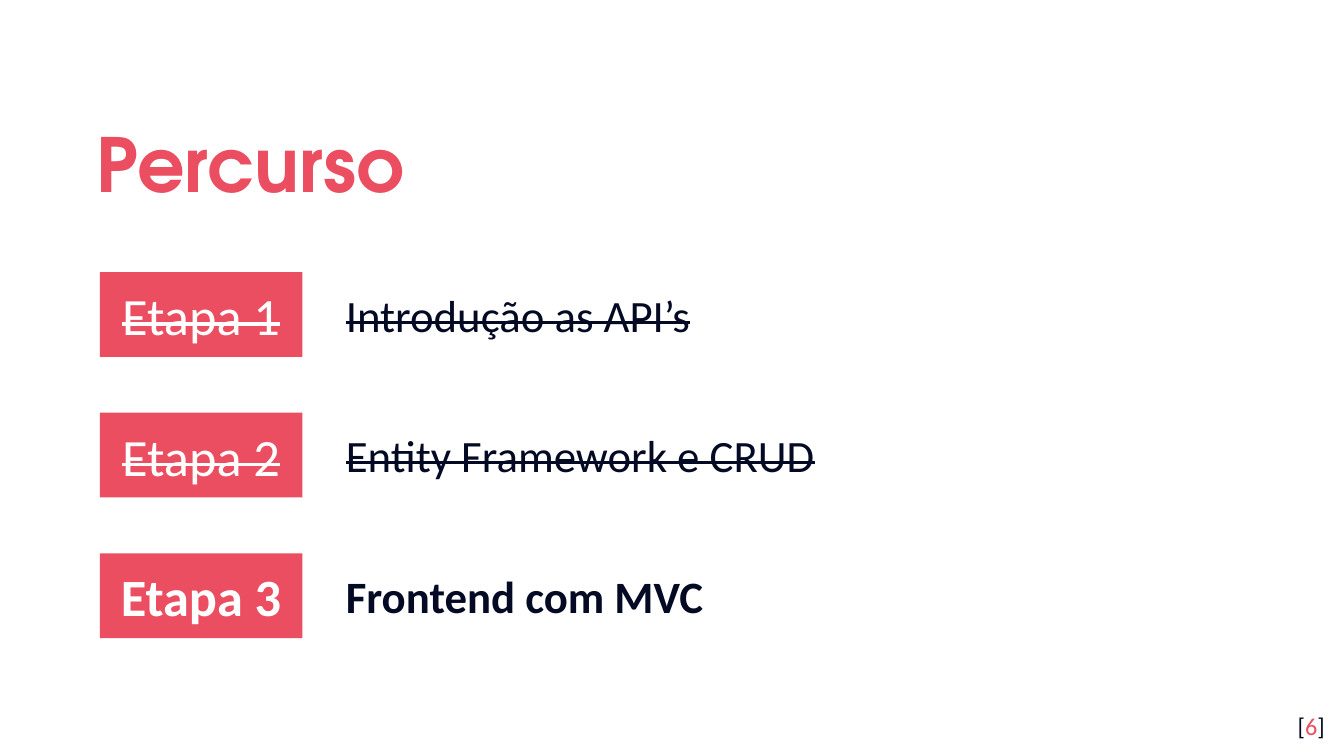
from dataclasses import dataclass

from pptx import Presentation
from pptx import util as u
from pptx.dml.color import RGBColor
from pptx.enum import shapes, text

RED, NAVY, WHITE = "EA4E60", "040A24", "FFFFFF"
BODY_FONT, TITLE_FONT = "Calibri", "TeX Gyre Adventor"
FIRST_TOP, LAST_TOP = 2.7, 5.49
PADDING = 0.13


@dataclass
class Stage:
    label: str
    topic: str
    done: bool
    topic_width: float = 9


STAGES = [
    Stage("Etapa 1", "Introdução as API’s", True),
    Stage("Etapa 2", "Entity Framework e CRUD", True, 9.47),
    Stage("Etapa 3", "Frontend com MVC", False),
]


def color(value: str) -> RGBColor:
    return RGBColor.from_string(value)


def place(shape, left: float, top: float, width: float, height: float) -> None:
    box = {"left": left, "top": top, "width": width, "height": height}
    for name, value in box.items():
        setattr(shape, name, u.Inches(value))


def add_outline(slide, left: float, top: float, width: float, height: float):
    """Draw a closed four-sided outline without fill or line."""
    right, bottom = left + width, top + height
    corners = [(u.Inches(x), u.Inches(y))
               for x, y in ((left, top), (right, top), (right, bottom), (left, bottom))]
    builder = slide.shapes.build_freeform(*corners[0])
    builder.add_line_segments(corners[1:], close=True)
    outline = builder.convert_to_shape()
    outline.shadow.inherit = False
    outline.fill.background()
    outline.line.fill.background()
    return outline


def format_frame(shape, anchor, alignment, vertical_padding: float = PADDING):
    """Set the frame's layout and return its first paragraph."""
    frame = shape.text_frame
    formats = {
        "word_wrap": True,
        "auto_size": text.MSO_AUTO_SIZE.NONE,
        "vertical_anchor": anchor,
        "margin_left": u.Inches(PADDING),
        "margin_right": u.Inches(PADDING),
        "margin_top": u.Inches(vertical_padding),
        "margin_bottom": u.Inches(vertical_padding),
    }
    for name, value in formats.items():
        setattr(frame, name, value)
    paragraph = frame.paragraphs[0]
    paragraph.alignment = alignment
    return paragraph


def add_run(paragraph, words: str, size: float, fill: str, font_name: str = BODY_FONT,
            bold: bool = False, strike: bool = False) -> None:
    run = paragraph.add_run()
    run.text = words
    formats = {"name": font_name, "size": u.Pt(size), "bold": bold}
    for name, value in formats.items():
        setattr(run.font, name, value)
    run.font.color.rgb = color(fill)
    if strike:
        run._r.get_or_add_rPr().set("strike", "sngStrike")


def add_stage(slide, stage: Stage, top: float) -> None:
    emphasis = {"bold": not stage.done, "strike": stage.done}

    # Label block
    label = slide.shapes.add_shape(shapes.MSO_SHAPE.RECTANGLE, 0, 0, 0, 0)
    place(label, 0.99, top, 2.01, 0.84)
    label.shadow.inherit = False
    label.fill.solid()
    label.fill.fore_color.rgb = color(RED)
    label.line.fill.background()
    paragraph = format_frame(label, text.MSO_ANCHOR.MIDDLE, text.PP_ALIGN.CENTER)
    add_run(paragraph, stage.label, 37.4, WHITE, **emphasis)

    # Topic beside it
    topic = add_outline(slide, 3.3, top + 0.08, stage.topic_width, 0.67)
    paragraph = format_frame(topic, text.MSO_ANCHOR.TOP, text.PP_ALIGN.LEFT, 0.07)
    properties = paragraph._p.get_or_add_pPr()
    properties.set("marL", str(u.Inches(0.67)))
    properties.set("indent", str(u.Inches(-0.67)))
    add_run(paragraph, stage.topic, 32, NAVY, **emphasis)


def main() -> None:
    presentation = Presentation()
    presentation.slide_width = u.Inches(13.33)
    presentation.slide_height = u.Inches(7.5)
    slide = presentation.slides.add_slide(presentation.slide_layouts[5])

    # Title
    title = slide.shapes.title
    place(title, 0.83, 0.93, 10.81, 1.23)
    paragraph = format_frame(title, text.MSO_ANCHOR.MIDDLE, text.PP_ALIGN.LEFT)
    paragraph.line_spacing = 1.15
    add_run(paragraph, "Percurso", 53.3, RED, TITLE_FONT, bold=True)

    # Stages, evenly spaced
    pitch = (LAST_TOP - FIRST_TOP) / (len(STAGES) - 1)
    for index, stage in enumerate(STAGES):
        add_stage(slide, stage, FIRST_TOP + index * pitch)

    # Page number
    page_number = slide.shapes.add_textbox(0, 0, 0, 0)
    place(page_number, 12.47, 6.93, 0.8, 0.57)
    paragraph = format_frame(page_number, text.MSO_ANCHOR.TOP, text.PP_ALIGN.RIGHT)
    for words, fill in (("[", NAVY), ("6", RED), ("]", NAVY)):
        add_run(paragraph, words, 17.3, fill)

    presentation.save("out.pptx")


if __name__ == "__main__":
    main()
